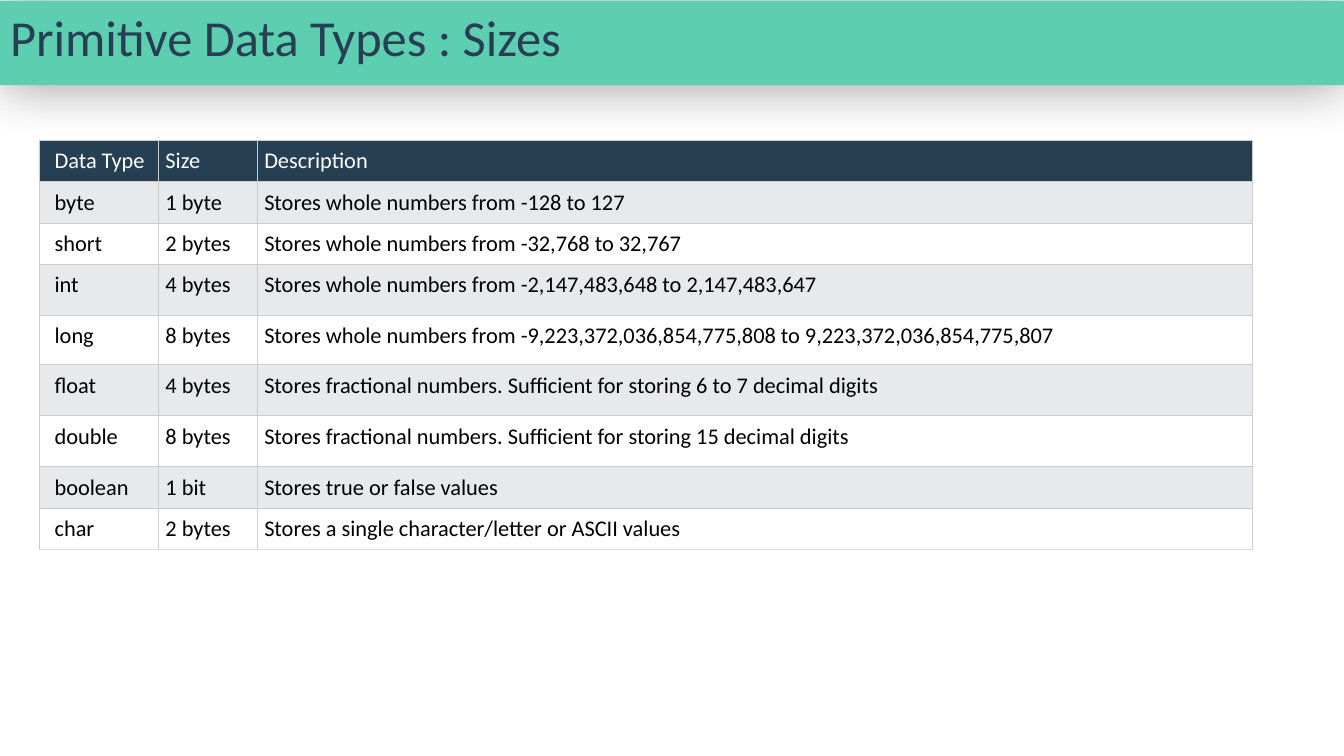
from dataclasses import dataclass

from lxml.etree import SubElement
from pptx import Presentation
from pptx.dml.color import RGBColor
from pptx.enum.text import MSO_ANCHOR, MSO_AUTO_SIZE, PP_ALIGN
from pptx.oxml.ns import qn
from pptx.util import Pt

FONT = "Calibri"
MINT = RGBColor(0x5D, 0xCE, 0xAF)
NAVY = RGBColor(0x27, 0x3F, 0x52)
STRIPE = RGBColor(0xE7, 0xE9, 0xEB)
WHITE = RGBColor(0xFF, 0xFF, 0xFF)
BLACK = RGBColor(0x00, 0x00, 0x00)
GRID = RGBColor(0xCC, 0xCC, 0xCC)
LAST_EDGE = RGBColor(0xDD, 0xDD, 0xDD)

SLIDE_WIDTH, SLIDE_HEIGHT = Pt(960), Pt(540)
TABLE_LEFT, TABLE_TOP = Pt(28.2), Pt(100.2)
COLUMN_WIDTHS = (Pt(85), Pt(70.6), Pt(710.6))
FIRST_INSET, INSET = Pt(10.8), Pt(5)


@dataclass(frozen=True)
class TypeRow:
    name: str
    size: str
    description: str
    height: float = 29.6


ROWS = (
    TypeRow("Data Type", "Size", "Description"),
    TypeRow("byte", "1 byte", "Stores whole numbers from -128 to 127"),
    TypeRow("short", "2 bytes", "Stores whole numbers from -32,768 to 32,767"),
    TypeRow("int", "4 bytes", "Stores whole numbers from -2,147,483,648 to 2,147,483,647", 36),
    TypeRow("long", "8 bytes", "Stores whole numbers from "
            "-9,223,372,036,854,775,808 to 9,223,372,036,854,775,807", 35.5),
    TypeRow("float", "4 bytes",
            "Stores fractional numbers. Sufficient for storing 6 to 7 decimal digits", 36.5),
    TypeRow("double", "8 bytes",
            "Stores fractional numbers. Sufficient for storing 15 decimal digits", 36.5),
    TypeRow("boolean", "1 bit", "Stores true or false values"),
    TypeRow("char", "2 bytes", "Stores a single character/letter or ASCII values"),
)


def add_span(para, text: str, size: float, color: RGBColor) -> None:
    span = para.add_run()
    span.text = text
    span.font.name = FONT
    span.font.size = Pt(size)
    span.font.bold = False
    span.font.color.rgb = color


def add_color(parent, color: RGBColor):
    return SubElement(parent, qn("a:srgbClr"), val=str(color))


def add_shadow(shape, blur: int, opacity: int) -> None:
    effects = SubElement(shape.element.spPr, qn("a:effectLst"))
    shadow = SubElement(effects, qn("a:outerShdw"), blurRad=str(blur),
                        dist="0", dir="0", algn="ctr", rotWithShape="0")
    SubElement(add_color(shadow, BLACK), qn("a:alpha"), val=str(opacity * 1000))


def add_borders(cell, bottom: RGBColor) -> None:
    properties = cell._tc.get_or_add_tcPr()
    for side, color in (("L", GRID), ("R", GRID), ("T", GRID), ("B", bottom)):
        line = SubElement(properties, qn(f"a:ln{side}"), w=str(Pt(0.75)))
        add_color(SubElement(line, qn("a:solidFill")), color)


def fill_title(title) -> None:
    title.left, title.top, title.width, title.height = 0, Pt(0.7), SLIDE_WIDTH, Pt(51)
    title.fill.solid()
    title.fill.fore_color.rgb = MINT
    title.line.fill.background()
    add_shadow(title, Pt(39), 40)
    frame = title.text_frame
    frame.word_wrap = True
    frame.auto_size = MSO_AUTO_SIZE.SHAPE_TO_FIT_TEXT
    frame.vertical_anchor = MSO_ANCHOR.TOP
    para = frame.paragraphs[0]
    para.alignment = PP_ALIGN.LEFT
    add_span(para, "Primitive Data Types : Sizes", 36, NAVY)


def fill_cell(cell, text: str, row: int, column: int) -> None:
    cell.margin_left = INSET if column else FIRST_INSET
    cell.margin_right = cell.margin_top = cell.margin_bottom = INSET
    cell.vertical_anchor = MSO_ANCHOR.TOP
    add_borders(cell, LAST_EDGE if row == len(ROWS) - 1 else GRID)
    cell.fill.solid()
    cell.fill.fore_color.rgb = NAVY if row == 0 else STRIPE if row % 2 else WHITE
    add_span(cell.text_frame.paragraphs[0], text, 16, BLACK if row else WHITE)


def add_type_table(page) -> None:
    height = Pt(sum(item.height for item in ROWS))
    table = page.shapes.add_table(len(ROWS), len(COLUMN_WIDTHS), TABLE_LEFT, TABLE_TOP,
                                  sum(COLUMN_WIDTHS), height).table
    for column, width in zip(table.columns, COLUMN_WIDTHS):
        column.width = width
    for row, item in enumerate(ROWS):
        table.rows[row].height = Pt(item.height)
        for column, text in enumerate((item.name, item.size, item.description)):
            fill_cell(table.cell(row, column), text, row, column)


def main() -> None:
    deck = Presentation()
    deck.slide_width, deck.slide_height = SLIDE_WIDTH, SLIDE_HEIGHT
    page = deck.slides.add_slide(deck.slide_layouts[5])

    # Title band
    fill_title(page.shapes.title)

    # Table of types
    add_type_table(page)

    deck.save("out.pptx")


if __name__ == "__main__":
    main()
